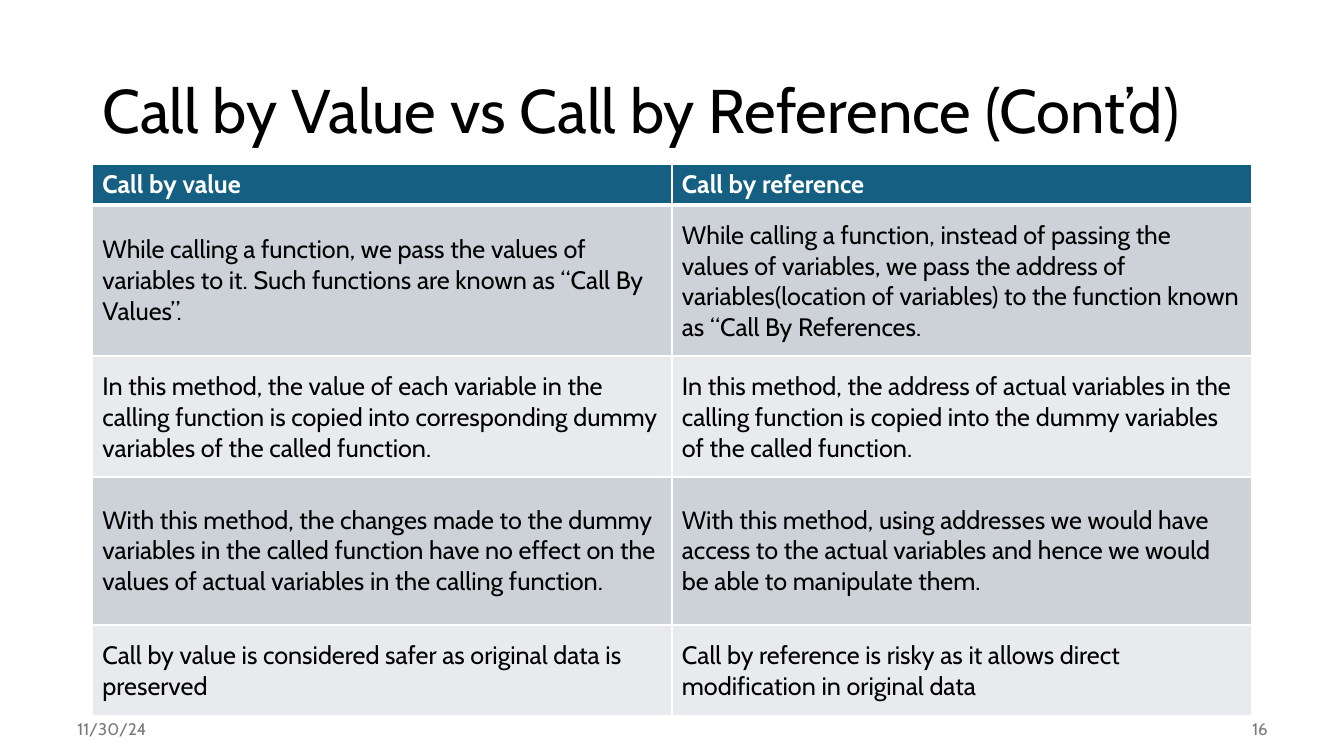
from lxml import etree
from pptx import Presentation
from pptx.dml.color import RGBColor
from pptx.enum.text import MSO_ANCHOR, PP_ALIGN
from pptx.oxml.ns import qn
from pptx.util import Cm, Pt

MIDDLE, TOP = MSO_ANCHOR.MIDDLE, MSO_ANCHOR.TOP
LEFT, RIGHT = PP_ALIGN.LEFT, PP_ALIGN.RIGHT

FONT = "Cabin"
BLACK = RGBColor(0x00, 0x00, 0x00)
WHITE = RGBColor(0xFF, 0xFF, 0xFF)
GREY = RGBColor(0x79, 0x79, 0x79)
TEAL = RGBColor(0x15, 0x60, 0x82)
BANDS = [RGBColor(0xCC, 0xD2, 0xD8), RGBColor(0xE8, 0xEA, 0xED)]

ROW_HEIGHTS = [Cm(h) for h in (1.02, 3.73, 3, 3.73, 2.24)]
ROWS = [
    ("Call by value", "Call by reference"),
    ("While calling a function, we pass the values of variables to it. "
     "Such functions are known as “Call By Values”.",
     "While calling a function, instead of passing the values of variables, "
     "we pass the address of variables(location of variables) to the function "
     "known as “Call By References."),
    ("In this method, the value of each variable in the calling function is "
     "copied into corresponding dummy variables of the called function.",
     "In this method, the address of actual variables in the calling function "
     "is copied into the dummy variables of the called function."),
    ("With this method, the changes made to the dummy variables in the called "
     "function have no effect on the values of actual variables in the calling "
     "function.",
     "With this method, using addresses we would have access to the actual "
     "variables and hence we would be able to manipulate them."),
    ("Call by value is considered safer as original data is preserved",
     "Call by reference is risky as it allows direct modification in original data"),
]


def add_run(p, text, size, color, bold=False):
    r = p.add_run()
    r.text = text
    r.font.name = FONT
    r.font.size = Pt(size)
    r.font.bold = bold
    r.font.color.rgb = color


def add_text(slide, box, text, size, color, align=LEFT):
    tf = slide.shapes.add_textbox(*box).text_frame
    tf.word_wrap = True
    tf.vertical_anchor = MIDDLE
    p = tf.paragraphs[0]
    p.alignment = align
    add_run(p, text, size, color)
    return p


def add_title(slide, box):
    p = add_text(slide, box, "Call by Value vs Call by Reference (Cont’d)", 44, BLACK)
    p.line_spacing = 0.9


def set_borders(cell, top, bottom):
    tcPr = cell._tc.get_or_add_tcPr()
    for side, width in (("L", 1), ("R", 1), ("T", top), ("B", bottom)):
        ln = etree.SubElement(tcPr, qn(f"a:ln{side}"), w=str(Pt(width)))
        fill = etree.SubElement(ln, qn("a:solidFill"))
        etree.SubElement(fill, qn("a:srgbClr"), val=str(WHITE))


def add_comparison(slide, box):
    table = slide.shapes.add_table(len(ROWS), 2, *box).table
    for column in table.columns:
        column.width = box[2] // 2
    for i, texts in enumerate(ROWS):
        header = i == 0
        table.rows[i].height = ROW_HEIGHTS[i]
        for j, text in enumerate(texts):
            cell = table.cell(i, j)
            # A thick rule separates the header from the body
            set_borders(cell, 3 if i == 1 else 1, 3 if header else 1)
            cell.fill.solid()
            cell.fill.fore_color.rgb = TEAL if header else BANDS[(i - 1) % 2]
            cell.vertical_anchor = TOP if header else MIDDLE
            cell.margin_left = cell.margin_right = Cm(0.25)
            cell.margin_top = cell.margin_bottom = Cm(0.13 if header else 0.38)
            add_run(cell.text_frame.paragraphs[0], text, 18,
                    WHITE if header else BLACK, header)


def add_footer(slide, box):
    left, top, width, height = box
    w = Cm(7.62)
    add_text(slide, (left, top, w, height), "11/30/24", 12, GREY)
    add_text(slide, (left + width - w, top, w, height), "16", 12, GREY, RIGHT)


def main():
    prs = Presentation()
    prs.slide_width, prs.slide_height = Cm(33.87), Cm(19.05)
    slide = prs.slides.add_slide(prs.slide_layouts[6])

    # Title, table and footer from top to bottom
    left, width = Cm(2.33), Cm(29.21)
    add_title(slide, (left, Cm(1.02), width, Cm(3.68)))
    add_comparison(slide, (left, Cm(4.14), width, sum(ROW_HEIGHTS)))
    add_footer(slide, (Cm(1.7), Cm(17.86), Cm(30.5), Cm(1.02)))
    prs.save("out.pptx")


if __name__ == "__main__":
    main()
